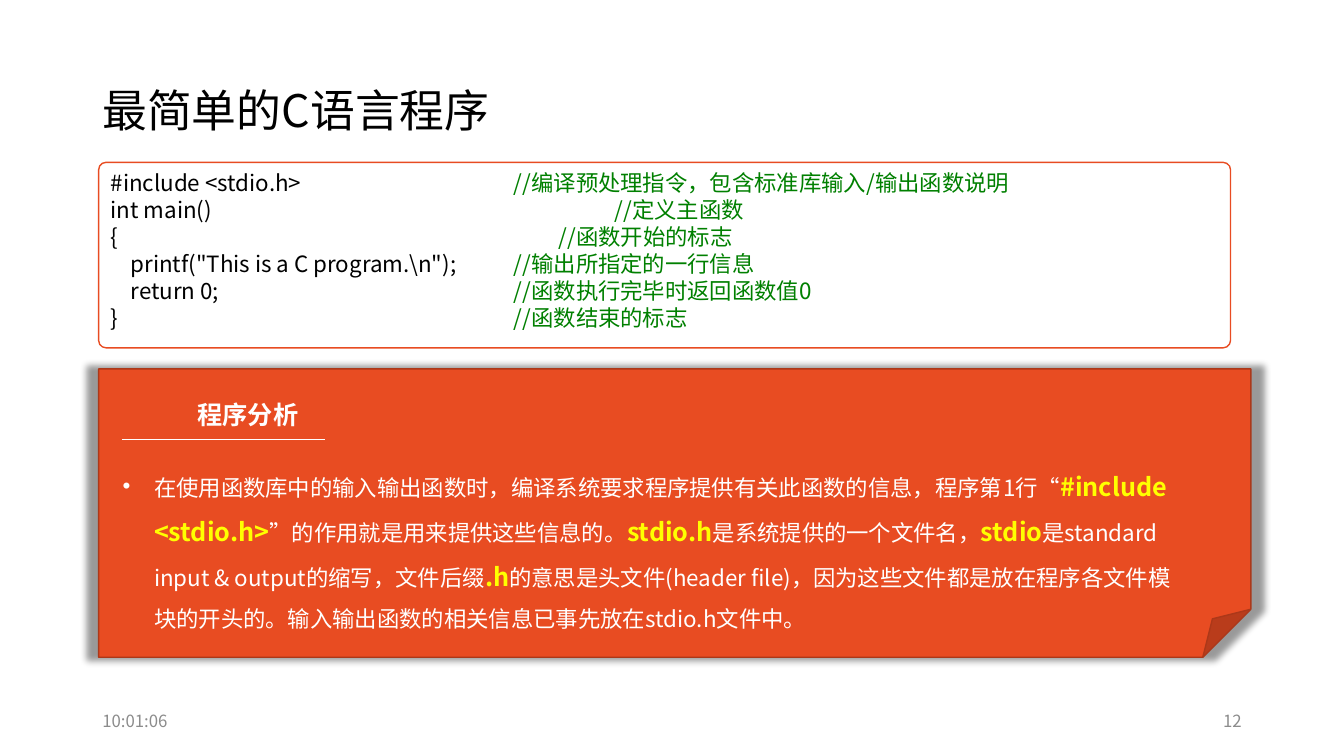
from lxml.etree import SubElement
from pptx import Presentation
from pptx.dml.color import RGBColor
from pptx.enum.shapes import MSO_CONNECTOR, MSO_SHAPE
from pptx.enum.text import MSO_ANCHOR, PP_ALIGN
from pptx.oxml.ns import qn
from pptx.util import Pt

# Content
TITLE = "最简单的C语言程序"
CODE = [  # code, comment, tab stop of the comment
    ("#include <stdio.h>", "//编译预处理指令，包含标准库输入/输出函数说明", 288),
    ("int main()", "//定义主函数", 360),
    ("{", "//函数开始的标志", 320),
    ('    printf("This is a C program.\\n");', "//输出所指定的一行信息", 288),
    ("    return 0;", "//函数执行完毕时返回函数值0", 288),
    ("}", "//函数结束的标志", 288),
]
HEADING = "程序分析"
ANALYSIS = [  # text, highlighted
    ("在使用函数库中的输入输出函数时，编译系统要求程序提供有关此函数的信息，程序第1行“", False),
    ("#include <stdio.h>", True),
    ("”的作用就是用来提供这些信息的。", False),
    ("stdio.h", True),
    ("是系统提供的一个文件名，", False),
    ("stdio", True),
    ("是standard input & output的缩写，文件后缀", False),
    (".h", True),
    ("的意思是头文件(header file)，因为这些文件都是放在程序各文件模块的开头的。"
     "输入输出函数的相关信息已事先放在stdio.h文件中。", False),
]
CLOCK, PAGE_NUMBER = "10:01:06", "12"

FONT = "Noto Sans CJK SC"
BLACK = RGBColor(0x00, 0x00, 0x00)
WHITE = RGBColor(0xFF, 0xFF, 0xFF)
GREEN = RGBColor(0x00, 0x80, 0x00)
YELLOW = RGBColor(0xFF, 0xFF, 0x00)
GREY = RGBColor(0x8C, 0x8C, 0x8C)
ORANGE = RGBColor(0xE8, 0x4C, 0x22)
DARK_ORANGE = RGBColor(0xAC, 0x38, 0x19)

deck = Presentation()
deck.slide_width, deck.slide_height = Pt(960), Pt(540)
page = deck.slides.add_slide(deck.slide_layouts[6])


def set_font(font, size, color, bold=False):
    font.name, font.size, font.bold = FONT, Pt(size), bold
    font.color.rgb = color
    SubElement(font._element, qn("a:ea"), typeface=FONT)


def add_run(para, text, color=None, size=None, bold=None):
    span = para.add_run()
    span.text = text
    if color is not None:
        span.font.color.rgb = color
    if size:
        span.font.size, span.font.bold = Pt(size), bold


def add_panel(kind, left, top, width, height, fill, line):
    panel = page.shapes.add_shape(kind, Pt(left), Pt(top), Pt(width), Pt(height))
    panel.shadow.inherit = False
    panel.fill.solid()
    panel.fill.fore_color.rgb = fill
    panel.line.color.rgb = line
    panel.line.width = Pt(1)
    return panel


def add_box(left, top, width, height, anchor=MSO_ANCHOR.TOP):
    box = page.shapes.add_textbox(Pt(left), Pt(top), Pt(width), Pt(height))
    box.text_frame.word_wrap = True
    box.text_frame.vertical_anchor = anchor
    return box.text_frame.paragraphs[0]


def add_label(text, bounds, size, color, align=PP_ALIGN.LEFT, bold=False,
              anchor=MSO_ANCHOR.MIDDLE):
    para = add_box(*bounds, anchor)
    para.alignment = align
    set_font(para.font, size, color, bold)
    add_run(para, text)
    return para


# Title
add_label(TITLE, (66, 28.8, 828, 104.4), 32, BLACK).line_spacing = 0.9

# Code listing
listing = add_panel(MSO_SHAPE.ROUNDED_RECTANGLE, 70.5, 116, 808.5, 132.5, WHITE, ORANGE)
listing.adjustments[0] = 0.04
frame = listing.text_frame
frame.word_wrap = True
frame.vertical_anchor = MSO_ANCHOR.TOP
for index, (code, comment, stop) in enumerate(CODE):
    para = frame.add_paragraph() if index else frame.paragraphs[0]
    para.alignment = PP_ALIGN.LEFT
    tabs = SubElement(para._p.get_or_add_pPr(), qn("a:tabLst"))
    SubElement(tabs, qn("a:tab"), pos=str(Pt(stop)), algn="l")
    set_font(para.font, 16, BLACK)
    add_run(para, code + "\t", BLACK)
    add_run(para, comment, GREEN)

# Analysis card with a soft shadow slightly larger than the card
card = add_panel(MSO_SHAPE.FOLDED_CORNER, 70.5, 263.5, 823, 206, ORANGE, DARK_ORANGE)
effects = card._element.spPr.find(qn("a:effectLst"))
shadow = SubElement(effects, qn("a:outerShdw"), blurRad=str(Pt(5)), sx="102000",
                    sy="102000", algn="ctr", rotWithShape="0")
shade = SubElement(shadow, qn("a:srgbClr"), val=str(BLACK))
SubElement(shade, qn("a:alpha"), val="40000")

# Heading and its rule
add_label(HEADING, (134, 281.5, 98, 33), 18, WHITE, PP_ALIGN.JUSTIFY, True, MSO_ANCHOR.TOP)
rule = page.shapes.add_connector(MSO_CONNECTOR.STRAIGHT, Pt(87), Pt(314), Pt(232), Pt(314))
rule.line.color.rgb = WHITE
rule.line.width = Pt(0.5)
SubElement(rule._element.spPr, qn("a:effectLst"))

# Explanation
para = add_box(80.5, 322, 767.5, 134.5)
para.line_spacing = 1.5
properties = para._p.get_or_add_pPr()
properties.set("marL", str(Pt(22.5)))
properties.set("indent", str(-Pt(22.5)))
bullet_color = SubElement(properties, qn("a:buClr"))
SubElement(bullet_color, qn("a:srgbClr"), val=str(WHITE))
SubElement(properties, qn("a:buFont"), typeface="Arial")
SubElement(properties, qn("a:buChar"), char="•")
set_font(para.font, 16, WHITE)
for text, highlighted in ANALYSIS:
    if highlighted:
        add_run(para, text, YELLOW, 18, True)
    else:
        add_run(para, text, WHITE)

# Footer
add_label(PAGE_NUMBER, (678, 500.5, 216, 28.75), 12, GREY, PP_ALIGN.RIGHT)
add_label(CLOCK, (66, 500.5, 216, 28.75), 12, GREY)

deck.save("out.pptx")
